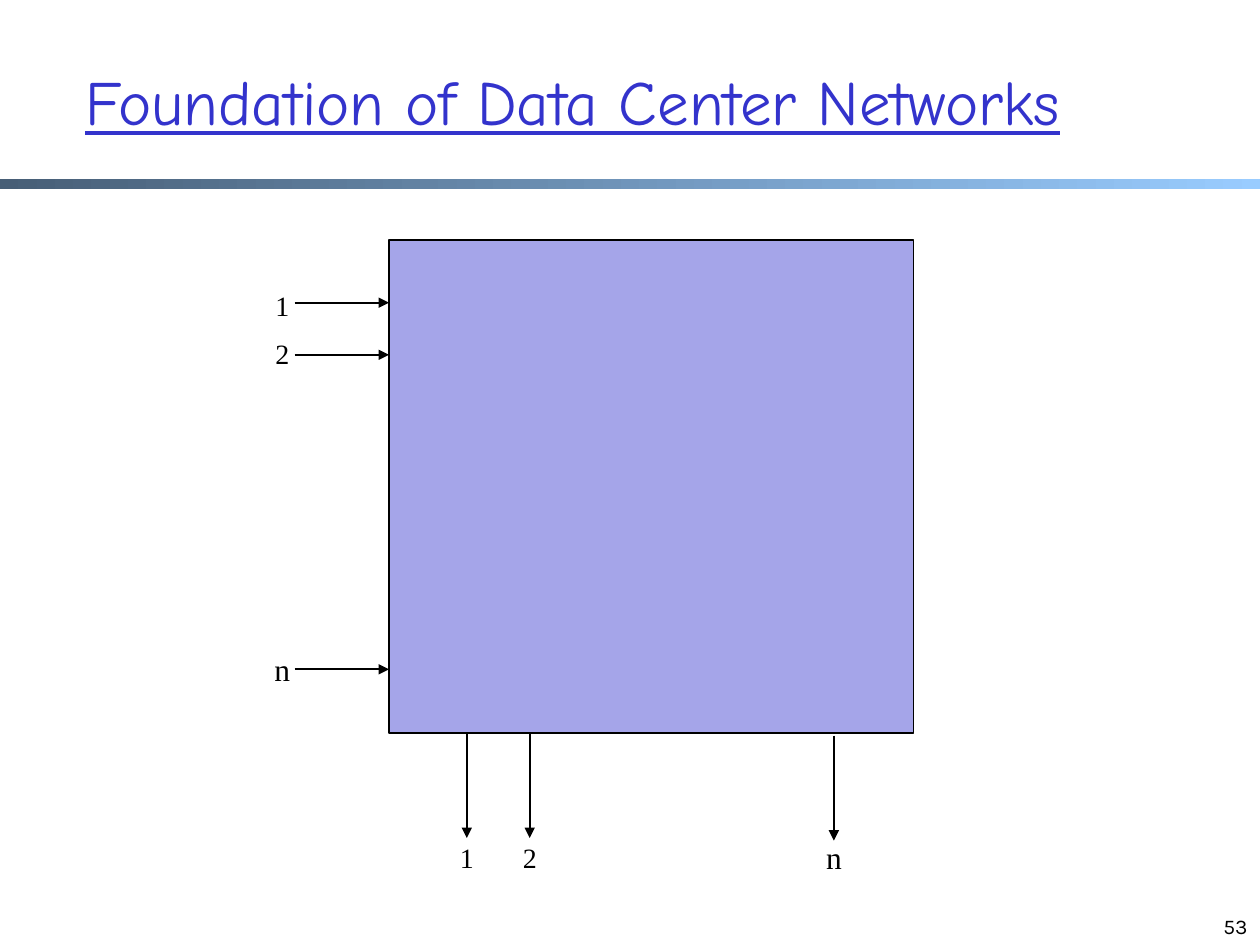
"""Build a slide showing a data center network as one big n-by-n switch."""
import pptx
import pptx.util
import pptx.dml.color
import pptx.enum.shapes
import pptx.enum.text
import pptx.oxml
import pptx.oxml.ns

Pt = pptx.util.Pt
ANCHOR = pptx.enum.text.MSO_ANCHOR
ALIGN = pptx.enum.text.PP_ALIGN
COLORS = {"title": "3333CC", "ink": "000000", "switch": "A5A5E9",
          "bar_start": "475E76", "bar_end": "99CCFF"}
TITLE = {"name": "Comic Neue", "size": Pt(36), "underline": True}
NUMBER = {"name": "Karla", "size": Pt(12)}
PORT = {"name": "Times New Roman", "size": Pt(16)}
PORT_N = {**PORT, "size": Pt(18)}


def rgb(key):
    return pptx.dml.color.RGBColor.from_string(COLORS[key])


def add_text(s, text, box, font, color="ink", align=ALIGN.LEFT,
             anchor=ANCHOR.MIDDLE, wrap=True):
    tf = s.shapes.add_textbox(*map(Pt, box)).text_frame
    tf.word_wrap = wrap
    tf.vertical_anchor = anchor
    p = tf.paragraphs[0]
    p.alignment = align
    r = p.add_run()
    r.text = text
    for name, value in font.items():
        setattr(r.font, name, value)
    r.font.color.rgb = rgb(color)


def add_rect(s, box):
    sp = s.shapes.add_shape(pptx.enum.shapes.MSO_SHAPE.RECTANGLE, *map(Pt, box))
    sp.shadow.inherit = False
    return sp


def add_bar(s, box):
    sp = add_rect(s, box)
    sp.line.fill.background()
    sp.fill.gradient()
    sp.fill.gradient_angle = 0
    for stop, key in zip(sp.fill.gradient_stops, ("bar_start", "bar_end")):
        stop.color.rgb = rgb(key)


def add_switch(s, box):
    sp = add_rect(s, box)
    sp.fill.solid()
    sp.fill.fore_color.rgb = rgb("switch")
    sp.line.color.rgb = rgb("ink")
    sp.line.width = Pt(1)


def add_arrow(s, x1, y1, x2, y2):
    c = s.shapes.add_connector(pptx.enum.shapes.MSO_CONNECTOR.STRAIGHT,
                               Pt(x1), Pt(y1), Pt(x2), Pt(y2))
    c.line.color.rgb = rgb("ink")
    c.line.width = Pt(1)
    ln = c.line._get_or_add_ln()
    tail = pptx.oxml.parse_xml(
        f'<a:tailEnd {pptx.oxml.ns.nsdecls("a")} type="triangle"/>')
    ln.append(tail)
    ln.addnext(pptx.oxml.parse_xml(f'<a:effectLst {pptx.oxml.ns.nsdecls("a")}/>'))


def add_port_label(s, text, x, y):
    w, h = 24, 28
    font = PORT_N if text == "n" else PORT
    add_text(s, text, (x - w / 2, y - h / 2, w, h), font,
             align=ALIGN.CENTER, wrap=False)


def main():
    prs = pptx.Presentation()
    prs.slide_width, prs.slide_height = Pt(720.72), Pt(540.72)
    s = prs.slides.add_slide(prs.slide_layouts[6])
    add_bar(s, (0, 102.2, 720.72, 5.8))
    add_text(s, "Foundation of Data Center Networks", (41.8, 12.2, 666.7, 90),
             TITLE, "title")
    add_text(s, "53", (553, 504.7, 167.7, 36), NUMBER,
             align=ALIGN.RIGHT, anchor=ANCHOR.BOTTOM)

    left, top, width, height = 222.5, 137.5, 300, 282
    bottom = top + height
    add_switch(s, (left, top, width, height))
    for text, y, label_y in (("1", 173.2, 174.6), ("2", 203, 202), ("n", 383, 383)):
        add_arrow(s, left - 54, y, left, y)
        add_port_label(s, text, 161.5, label_y)
    for text, x, gap in (("1", 267, 0), ("2", 303, 0), ("n", 477, 1.5)):
        add_arrow(s, x, bottom + gap, x, bottom + gap + 60)
        add_port_label(s, text, x, 490.6)
    prs.save("out.pptx")


if __name__ == "__main__":
    main()
